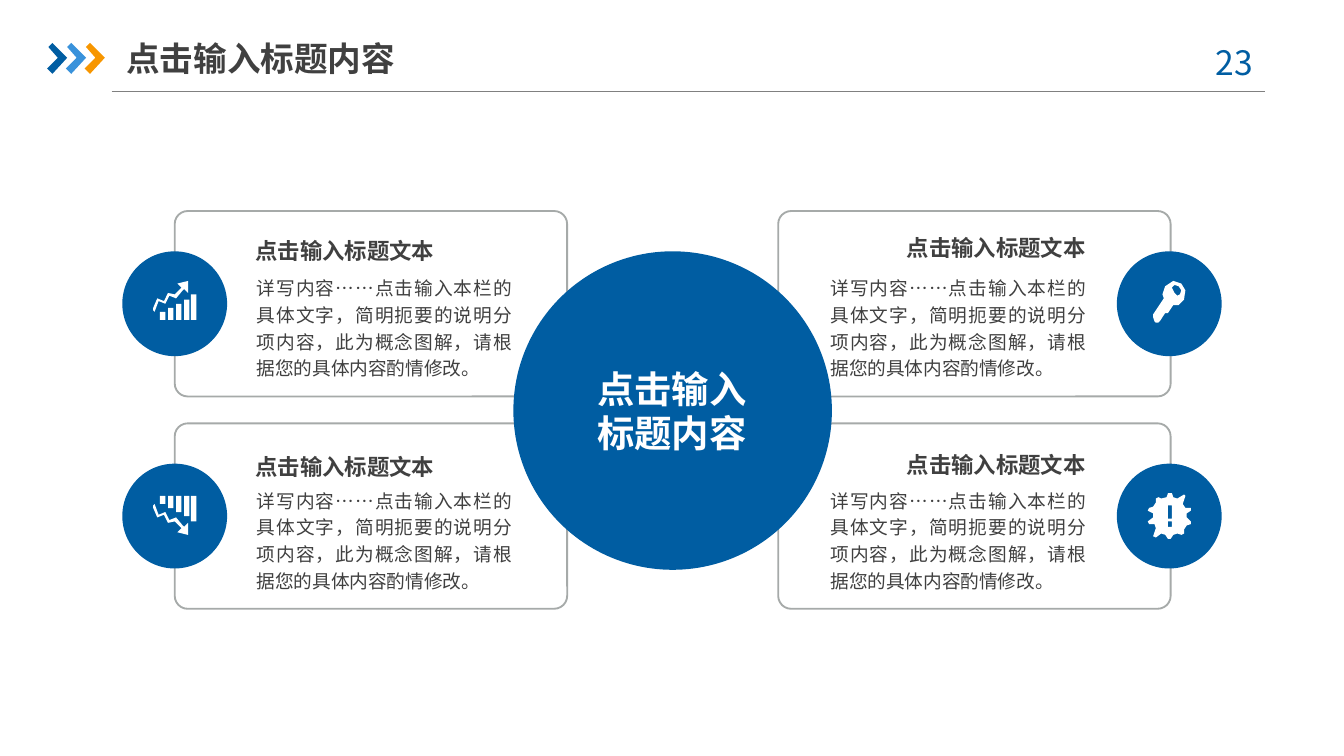
from lxml.etree import SubElement
from pptx import Presentation
from pptx.dml.color import RGBColor
from pptx.enum.shapes import MSO_CONNECTOR, MSO_SHAPE as SHAPE
from pptx.enum.text import MSO_ANCHOR as ANCHOR, MSO_AUTO_SIZE, PP_ALIGN as ALIGN
from pptx.oxml.ns import qn
from pptx.util import Inches, Pt

PX = 9144
FONT = "Noto Sans CJK SC"
BLUE = RGBColor(0x00, 0x5D, 0xA2)
LIGHT_BLUE = RGBColor(0x39, 0x92, 0xDB)
ORANGE = RGBColor(0xF7, 0x96, 0x00)
WHITE = RGBColor(0xFF, 0xFF, 0xFF)
DARK = RGBColor(0x40, 0x40, 0x40)
RULE_GRAY = RGBColor(0x80, 0x80, 0x80)
CARD_GRAY = RGBColor(0xA6, 0xAA, 0xA9)

HEADLINE = "点击输入标题内容"
CARD_HEADING = "点击输入标题文本"
CARD_BODY = "详写内容……点击输入本栏的具体文字，简明扼要的说明分项内容，此为概念图解，请根据您的具体内容酌情修改。"


def box(left, top, width, height):
    """Return the four corner points of a rectangle."""
    right, bottom = left + width, top + height
    return [(left, top), (right, top), (right, bottom), (left, bottom)]


CHEVRON = [[(1, 3), (4, 0), (15, 11), (4, 23), (0, 19), (8, 11)]]
TREND = [(12, 11), (17, 13), (22, 7), (23, 6), (26, 9), (26, 0), (18, 2), (21, 5), (16, 10),
         (11, 9), (8, 15), (3, 13), (0, 20), (0, 22), (1, 23), (4, 15), (9, 17)]
BARS = [box(x, y, 4, 29 - y) for x, y in zip((5, 11, 17, 23, 28), (23, 20, 17, 14, 10))]
GROWTH = [TREND, *BARS]
DECLINE = [[(x, 29 - y) for x, y in outline] for outline in GROWTH]
KEY = [
    [(24, 7), (21, 2), (15, 0), (9, 4), (7, 10), (8, 13), (0, 25), (0, 27), (1, 30), (2, 31),
     (4, 31), (5, 30), (9, 24), (11, 24), (15, 18), (19, 18), (23, 14)],
    [(20, 10), (18, 11), (16, 9), (14, 5), (16, 3), (19, 4), (21, 7)],
]
ALERT = [
    [(32, 22), (29, 19), (29, 16), (32, 14), (32, 12), (28, 12), (26, 9), (28, 3), (27, 2),
     (22, 5), (19, 4), (18, 1), (15, 1), (14, 4), (10, 5), (8, 4), (6, 5), (6, 8), (4, 11),
     (1, 12), (0, 14), (4, 16), (4, 19), (0, 22), (1, 24), (5, 24), (6, 27), (4, 33), (6, 34),
     (10, 31), (13, 32), (15, 35), (17, 35), (19, 32), (22, 31), (25, 32), (27, 31), (27, 28),
     (29, 25), (32, 24)],
    box(15, 10, 3, 10),
    box(15, 22, 3, 4),
]


class SlideBuilder:
    """Holds the deck style and draws elements on the current slide."""

    def __init__(self, slide):
        self.slide = slide
        self.shapes = slide.shapes

    def style_text(self, shape, text, size, color, bold=False, align=ALIGN.LEFT,
                   anchor=ANCHOR.MIDDLE, spacing=None, inset=0):
        """Put one styled paragraph into a shape."""
        frame = shape.text_frame
        frame.word_wrap = True
        frame.auto_size = MSO_AUTO_SIZE.NONE
        frame.vertical_anchor = anchor
        frame.margin_left = frame.margin_right = 0
        frame.margin_top = frame.margin_bottom = inset * PX
        frame.text = text
        paragraph = frame.paragraphs[0]
        paragraph.alignment = align
        paragraph.line_spacing = spacing
        font = paragraph.font
        font.name, font.size, font.bold = FONT, Pt(size), bold
        font.color.rgb = color
        defaults = paragraph._p.pPr.find(qn("a:defRPr"))
        SubElement(defaults, qn("a:ea"), typeface=FONT)

    def title(self, text, left, top, width, height):
        """Place and format the title placeholder."""
        title = self.shapes.title
        title.left, title.top = left * PX, top * PX
        title.width, title.height = width * PX, height * PX
        self.style_text(title, text, 18, DARK, bold=True, inset=5)

    def text(self, text, left, top, width, height, size, color, **style):
        """Add a text box."""
        area = self.shapes.add_textbox(left * PX, top * PX, width * PX, height * PX)
        self.style_text(area, text, size, color, **style)

    def rule(self, left, right, y):
        """Add a thin horizontal line."""
        rule = self.shapes.add_connector(
            MSO_CONNECTOR.STRAIGHT, left * PX, y * PX, right * PX, y * PX)
        rule.line.color.rgb = RULE_GRAY
        rule.line.width = Pt(0.75)
        SubElement(rule._element.spPr, qn("a:effectLst"))

    def card(self, left, top, width, height):
        """Add an outlined rounded card."""
        card = self.shapes.add_shape(
            SHAPE.ROUNDED_RECTANGLE, left * PX, top * PX, width * PX, height * PX)
        card.adjustments[0] = 0.07
        card.shadow.inherit = False
        card.fill.background()
        card.line.color.rgb = CARD_GRAY
        card.line.width = Pt(1)

    def paint(self, shape, color):
        """Give a shape a flat fill without line or shadow."""
        shape.shadow.inherit = False
        shape.fill.solid()
        shape.fill.fore_color.rgb = color
        shape.line.fill.background()

    def disc(self, left, top, diameter):
        """Add a blue circle."""
        disc = self.shapes.add_shape(
            SHAPE.OVAL, left * PX, top * PX, diameter * PX, diameter * PX)
        self.paint(disc, BLUE)

    def icon(self, outlines, left, top, color=WHITE):
        """Add a freeform made of closed outlines."""
        first, *others = outlines
        builder = self.shapes.build_freeform(*first[0], scale=PX)
        builder.add_line_segments(first[1:], close=True)
        for outline in others:
            builder.move_to(*outline[0])
            builder.add_line_segments(outline[1:], close=True)
        self.paint(builder.convert_to_shape(left * PX, top * PX), color)


def main():
    """Build the four-card concept slide."""
    deck = Presentation()
    deck.slide_width, deck.slide_height = Inches(10), Inches(5.625)
    page = SlideBuilder(deck.slides.add_slide(deck.slide_layouts[5]))

    page.rule(83, 941, 68)
    for step, color in enumerate((BLUE, LIGHT_BLUE, ORANGE)):
        page.icon(CHEVRON, 35 + 14 * step, 32, color)
    page.title(HEADLINE, 94, 22, 233, 42)
    page.text("23", 882, 26, 73, 40, 18, BLUE, align=ALIGN.CENTER)

    card_tops = (157, 315)
    for top in card_tops:
        for left in (130, 579):
            page.card(left, top, 292, 138)
    page.disc(382, 187, 237)
    page.text(HEADLINE, 437, 280, 126, 52, 20, WHITE, bold=True,
              align=ALIGN.CENTER, spacing=Pt(23.6))

    heading_tops, body_tops = (168, 329), (203, 361)
    sides = (
        (190, 191, 91, ALIGN.LEFT, 1.2, ((GROWTH, 114, 209), (DECLINE, 114, 369))),
        (655, 618, 831, ALIGN.RIGHT, None, ((KEY, 858, 209), (ALERT, 854, 366))),
    )
    for heading_left, body_left, disc_left, align, spacing, icons in sides:
        for top, heading_top, body_top, icon in zip(card_tops, heading_tops, body_tops, icons):
            page.text(CARD_HEADING, heading_left, heading_top, 153, 33, 12, DARK,
                      bold=True, align=align, spacing=spacing)
            page.text(CARD_BODY, body_left, body_top, 190, 42, 10, DARK,
                      align=ALIGN.JUSTIFY, anchor=ANCHOR.TOP, spacing=Pt(14.3))
            page.disc(disc_left, top + 30, 78)
            page.icon(*icon)

    deck.save("out.pptx")


if __name__ == "__main__":
    main()
